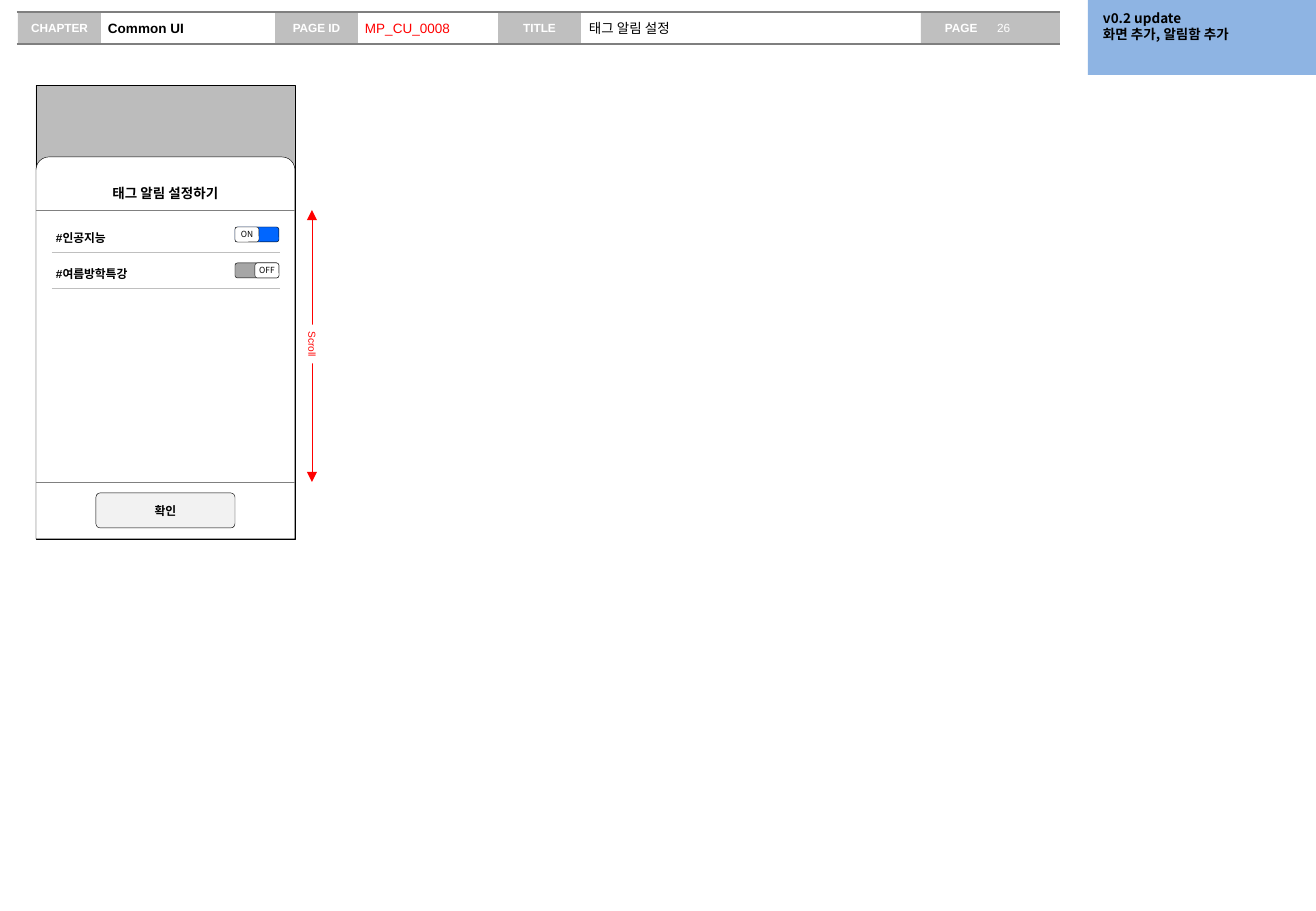
from dataclasses import dataclass

from lxml import etree
from pptx import Presentation
from pptx import util as u
from pptx.dml.color import RGBColor
from pptx.enum import shapes, text
from pptx.oxml import ns

PX = u.Inches(1) / 121.5
KIND = shapes.MSO_SHAPE
LEFT, MID = text.PP_ALIGN.LEFT, text.PP_ALIGN.CENTER


@dataclass(frozen=True)
class Theme:
    black: str = "000000"
    white: str = "FFFFFF"
    red: str = "FF0000"
    blue: str = "0066FF"
    note: str = "8EB4E3"
    dim: str = "595959"
    rule: str = "7F7F7F"
    edge: str = "808080"
    gray: str = "BFBFBF"
    off: str = "A6A6A6"
    pale: str = "F2F2F2"
    latin: str = "Arial"
    hangul: str = "Noto Sans CJK KR"
    body: float = 8
    label: float = 7
    small: float = 6
    tiny: float = 5
    thin: float = 0.25
    thick: float = 0.75


def px(*nums):
    return [u.Emu(round(n * PX)) for n in nums]


def sub(node, tag, **attrs):
    return etree.SubElement(node, ns.qn(tag), attrs)


class Page:
    def __init__(self, slide, theme):
        self.slide, self.theme = slide, theme

    def shape(self, box, fill, edge=None, kind=KIND.RECTANGLE, adj=(), alpha=None):
        item = self.slide.shapes.add_shape(kind, *px(*box))
        item.shadow.inherit = False
        item.fill.solid()
        item.fill.fore_color.rgb = RGBColor.from_string(fill)
        if alpha:
            color = item._element.spPr.find(ns.qn("a:solidFill"))[0]
            sub(color, "a:alpha", val=str(alpha * 1000))
        if edge:
            item.line.color.rgb = RGBColor.from_string(edge)
            item.line.width = u.Pt(self.theme.thin)
        else:
            item.line.fill.background()
        for i, value in enumerate(adj):
            item.adjustments[i] = value
        return item

    def words(self, item, copy, size, color=None, bold=False, align=LEFT,
              middle=True, pad=(0, 0, 0, 0), wrap=True, font=None, space=None):
        """Fill an item with text; pad is left, top, right, bottom."""
        frame = item.text_frame
        frame.text = copy
        frame.word_wrap = wrap
        anchor = text.MSO_ANCHOR
        frame.vertical_anchor = anchor.MIDDLE if middle else anchor.TOP
        (frame.margin_left, frame.margin_top,
         frame.margin_right, frame.margin_bottom) = px(*pad)
        for para in frame.paragraphs:
            para.alignment = align
            if space:
                para.line_spacing = space
            for run in para.runs:
                run.font.name = font or self.theme.latin
                run.font.size = u.Pt(size)
                run.font.bold = bold
                run.font.color.rgb = RGBColor.from_string(color or self.theme.black)
                sub(run._r.get_or_add_rPr(), "a:ea", typeface=self.theme.hangul)

    def label(self, box, copy, size, **style):
        item = self.slide.shapes.add_textbox(*px(*box))
        self.words(item, copy, size, **style)

    def line(self, x1, y1, x2, y2, color, width=None, arrows=False):
        item = self.slide.shapes.add_connector(
            shapes.MSO_CONNECTOR.STRAIGHT, *px(x1, y1, x2, y2))
        item.line.color.rgb = RGBColor.from_string(color)
        item.line.width = u.Pt(width or self.theme.thin)
        props = item._element.spPr
        if arrows:
            for end in ("a:headEnd", "a:tailEnd"):
                sub(props.find(ns.qn("a:ln")), end, type="triangle")
        sub(props, "a:effectLst")

    def header(self):
        t = self.theme
        for x, wide, name, align, pad in (
                (18, 83, "CHAPTER", MID, 12), (275, 83, "PAGE ID", MID, 12),
                (498, 83, "TITLE", MID, 12), (921, 139, "PAGE", LEFT, 24)):
            tab = self.shape((x, 12, wide, 32), t.gray)
            self.words(tab, name, t.label, color=t.white, bold=True, align=align,
                       pad=(pad, 6, 12, 6), wrap=False)
        self.label((992, 15, 67, 26), "26", t.label, color=t.white,
                   middle=False, pad=(5, 6, 0, 6))
        for y in (12, 44):
            self.line(17, y, 1060, y, t.rule, t.thick)
        for x, wide, copy, color, bold, middle in (
                (101, 174, "Common UI", t.black, True, False),
                (358, 141, "MP_CU_0008", t.red, False, True),
                (582, 340, "태그 알림 설정", t.black, False, False)):
            self.label((x, 14, wide, 29), copy, t.body, color=color, bold=bold,
                       middle=middle, pad=(7, 6, 0, 6))

    def toggle(self, x, y, on):
        t = self.theme
        self.shape((x, y, 44, 15), t.blue if on else t.off, t.black,
                   KIND.ROUNDED_RECTANGLE)
        knob = self.shape((x if on else x + 20, y, 24, 15), t.white, t.black,
                          KIND.ROUNDED_RECTANGLE)
        self.words(knob, "ON" if on else "OFF", t.tiny, align=MID, font=t.hangul)

    def phone(self):
        t = self.theme
        self.shape((36, 85, 259, 454), t.dim, t.black, alpha=40)
        self.shape((36, 157, 259, 382), t.white, t.black,
                   KIND.ROUND_2_SAME_RECTANGLE, (0.05, 0))
        self.label((106, 185, 119, 16), "태그 알림 설정하기", t.body, bold=True,
                   align=MID, middle=False, wrap=False)
        for y in (210, 482):
            self.line(36, y, 295, y, t.edge)
        for i, (tag, on) in enumerate((("#인공지능", True), ("#여름방학특강", False))):
            y = 226 + 36 * i
            self.label((56, y, 135, 17), tag, t.label, bold=True,
                       middle=False, space=1.3)
            self.toggle(235, y + 1, on)
            self.line(52, y + 26, 280, y + 26, t.gray)
        button = self.shape((96, 493, 139, 35), t.pale, t.black,
                            KIND.ROUNDED_RECTANGLE, (0.12,))
        self.words(button, "확인", t.label, bold=True, align=MID, font=t.hangul,
                   pad=(12, 6, 12, 6))

    def scroll(self):
        t = self.theme
        self.line(312, 210, 312, 482, t.red, arrows=True)
        tag = self.shape((293, 338, 39, 12), t.white)
        tag.rotation = 90
        self.words(tag, "Scroll", t.small, color=t.red, align=MID,
                   pad=(5, 0, 5, 0), wrap=False)

    def note(self):
        t = self.theme
        card = self.shape((1088, 0, 228, 75), t.note)
        self.words(card, "v0.2 update\n화면 추가, 알림함 추가", t.body, bold=True,
                   middle=False, font=t.hangul, pad=(15, 10, 12, 6))


def main():
    deck = Presentation()
    deck.slide_width, deck.slide_height = px(1316, 911)
    page = Page(deck.slides.add_slide(deck.slide_layouts[6]), Theme())
    page.header()
    page.phone()
    page.scroll()
    page.note()
    deck.save("out.pptx")


if __name__ == "__main__":
    main()
